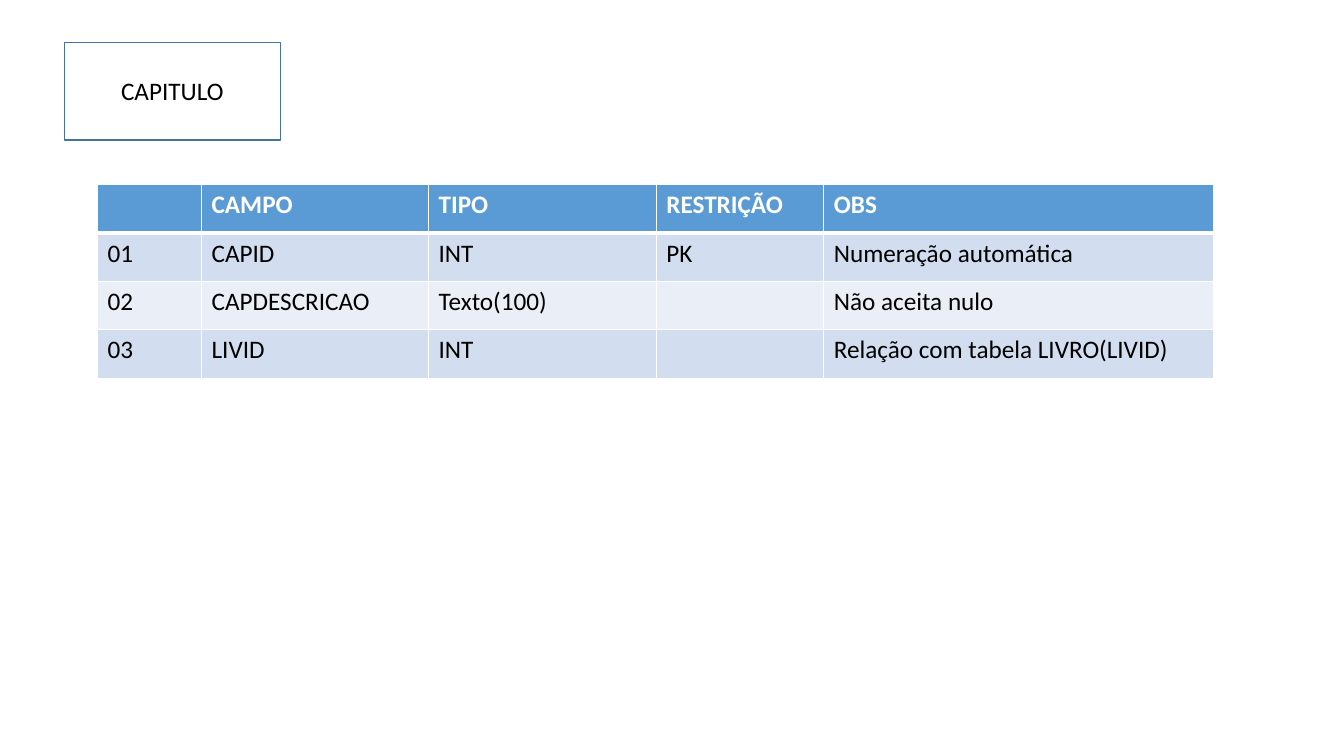
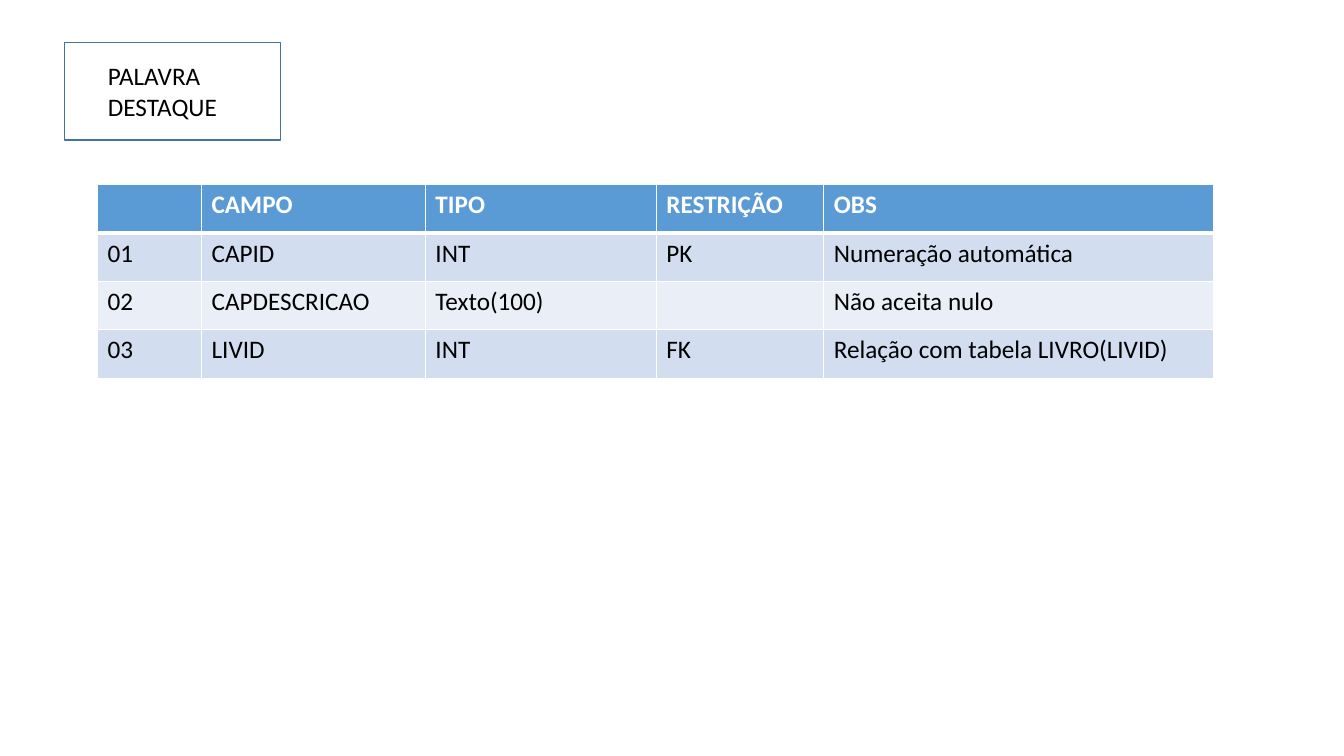
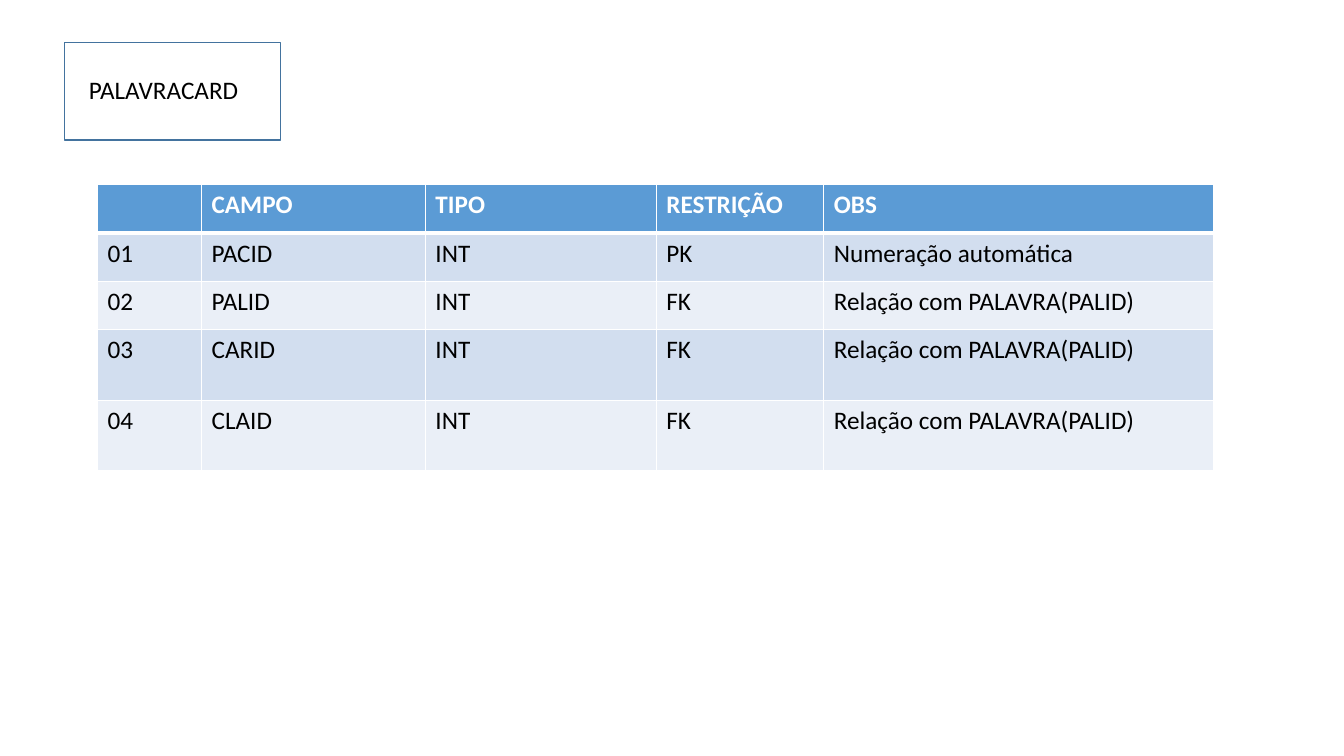
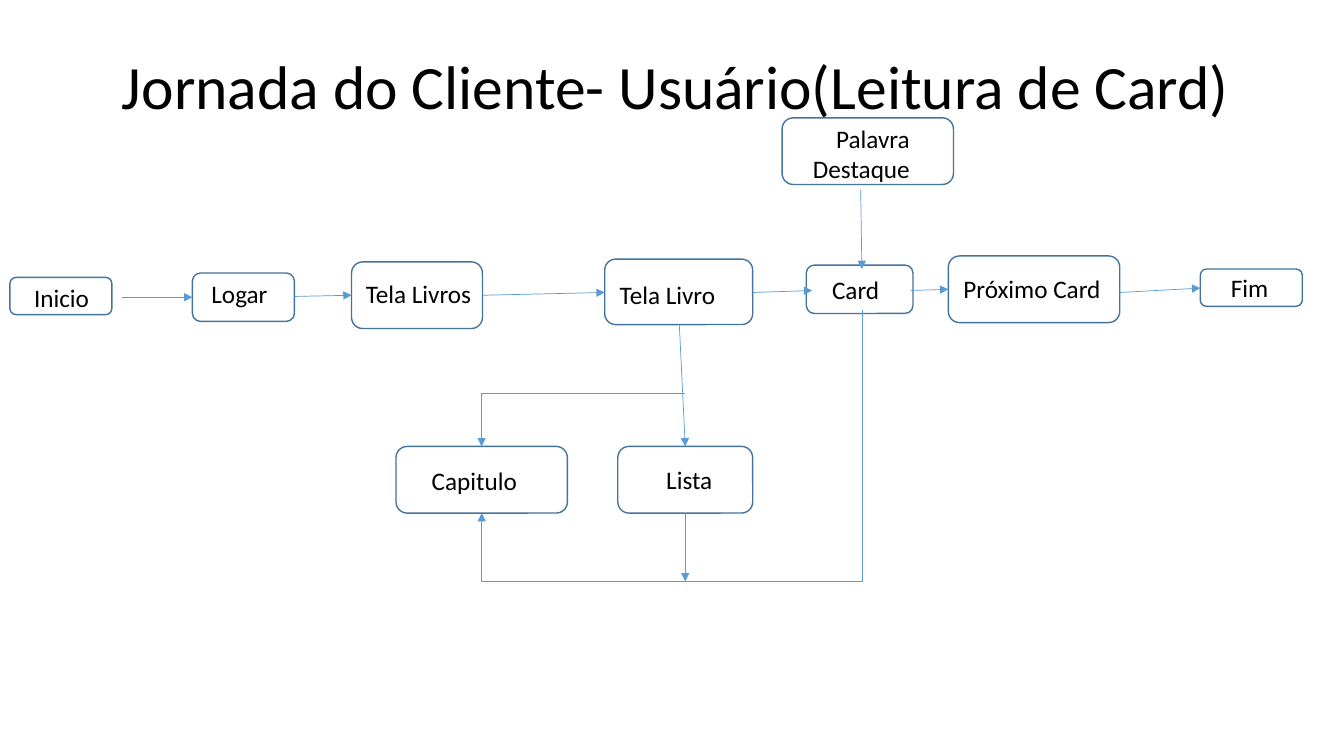
from dataclasses import dataclass

from lxml.etree import SubElement
from pptx import Presentation
from pptx.dml.color import RGBColor
from pptx.enum.shapes import MSO_CONNECTOR as Connector, MSO_SHAPE as Shape
from pptx.enum.text import MSO_ANCHOR as Anchor, MSO_AUTO_SIZE as AutoSize, PP_ALIGN as Align
from pptx.oxml.ns import qn
from pptx.util import Cm, Pt

FONT = "Calibri"
BLACK, WHITE = "000000", "FFFFFF"
OUTLINE, ACCENT = "43739E", "5B9BD5"
BANDS = ("D2DEEF", "EAEFF7")
TITLE_ONLY = 5
HEADINGS = ("", "CAMPO", "TIPO", "RESTRIÇÃO", "OBS")
WIDE_FIELD = (2.62, 5.72, 5.74, 4.22, 9.83)
NARROW_FIELD = (2.62, 5.64, 5.82, 4.22, 9.83)
ROW_HEIGHT, TALL_ROW = 1.22, 1.78
CORNER_INSET = 0.0488

CHAPTER_ROWS = [
    ("01", "CAPID", "INT", "PK", "Numeração automática"),
    ("02", "CAPDESCRICAO", "Texto(100)", "", "Não aceita nulo"),
    ("03", "LIVID", "INT", "", "Relação com tabela LIVRO(LIVID)"),
]
HIGHLIGHT_ROWS = CHAPTER_ROWS[:2] + [
    ("03", "LIVID", "INT", "FK", "Relação com tabela LIVRO(LIVID)"),
]
WORD_CARD_ROWS = [("01", "PACID", "INT", "PK", "Numeração automática")] + [
    (number, field, "INT", "FK", "Relação com PALAVRA(PALID)")
    for number, field in (("02", "PALID"), ("03", "CARID"), ("04", "CLAID"))
]


@dataclass
class Step:
    text: str
    left: float
    top: float
    width: float
    height: float
    inset_left: float
    inset_top: float
    inset_right: float = 0.1
    align: Align = Align.LEFT


STEPS = [
    Step("Inicio", 0.25, 6.99, 2.57, 0.94, 0.61, 0.13),
    Step("Logar", 4.85, 6.88, 2.57, 1.22, 0.48, 0.13),
    Step("Tela Livros", 8.86, 6.6, 3.3, 1.68, 0.36, 0.41),
    Step("Tela Livro", 15.24, 6.53, 3.73, 1.65, 0.38, 0.51),
    Step("Card", 20.32, 6.68, 2.69, 1.22, 0.65, 0.23),
    Step("Próximo Card", 23.9, 6.45, 4.32, 1.68, 0.38, 0.43),
    Step("Fim", 30.25, 6.78, 2.57, 0.94, 0.77, 0.08),
    Step("Capitulo", 9.98, 11.25, 4.32, 1.68, 0.9, 0.48),
    Step("Lista", 15.57, 11.25, 3.4, 1.68, 1.22, 0.46),
    Step("Palavra Destaque", 19.71, 2.97, 4.32, 1.68, 0.1, 0.13, 1.1, Align.RIGHT),
]
ARROWS = [
    ((3.07, 7.49), (4.85, 7.49)),
    ((7.42, 7.47), (8.86, 7.44)),
    ((12.17, 7.44), (15.24, 7.37)),
    ((18.97, 7.37), (20.47, 7.32)),
    ((22.96, 7.32), (23.9, 7.29)),
    ((28.22, 7.37), (30.25, 7.26)),
    ((21.69, 4.78), (21.72, 6.78)),
    ((17.12, 8.2), (17.27, 11.25)),
    ((17.27, 12.93), (17.27, 14.65)),
]


def color(value):
    return RGBColor.from_string(value)


def write(paragraph, text, size=18, text_color=BLACK, bold=False, align=Align.LEFT):
    paragraph.alignment = align
    run = paragraph.add_run()
    run.text = text
    run.font.name = FONT
    run.font.size = Pt(size)
    run.font.bold = bold
    run.font.color.rgb = color(text_color)


def place(shape, left, top, width, height):
    shape.left, shape.top = Cm(left), Cm(top)
    shape.width, shape.height = Cm(width), Cm(height)


def set_insets(frame, left, top, right):
    frame.word_wrap = True
    frame.auto_size = AutoSize.NONE
    frame.vertical_anchor = Anchor.TOP
    frame.margin_left, frame.margin_top = Cm(left), Cm(top)
    frame.margin_right, frame.margin_bottom = Cm(right), 0


def outline(shape):
    shape.fill.background()
    shape.line.color.rgb = color(OUTLINE)
    shape.line.width = Pt(1)


def add_slide(presentation):
    return presentation.slides.add_slide(presentation.slide_layouts[TITLE_ONLY])


def add_entity_title(slide, lines, inset_left, inset_top):
    title = slide.shapes.title
    place(title, 1.63, 1.07, 5.44, 2.46)
    outline(title)
    frame = title.text_frame
    set_insets(frame, inset_left, inset_top, 0.1)
    for index, line in enumerate(lines):
        write(frame.add_paragraph() if index else frame.paragraphs[0], line)


def add_page_title(slide, text):
    title = slide.shapes.title
    place(title, 2.82, 0.41, 29.21, 3.68)
    frame = title.text_frame
    frame.auto_size = AutoSize.NONE
    frame.vertical_anchor = Anchor.MIDDLE
    frame.paragraphs[0].line_spacing = 0.9
    write(frame.paragraphs[0], text, size=44)


def set_borders(cell, bottom_width):
    properties = cell._tc.get_or_add_tcPr()
    for side, width in (("L", 1), ("R", 1), ("T", 1), ("B", bottom_width)):
        line = SubElement(properties, qn(f"a:ln{side}"), w=str(Pt(width)))
        fill = SubElement(line, qn("a:solidFill"))
        SubElement(fill, qn("a:srgbClr"), val=WHITE)


def format_cell(cell, text, header, fill):
    set_borders(cell, 3 if header else 1)
    cell.fill.solid()
    cell.fill.fore_color.rgb = color(fill)
    if text:
        write(cell.text_frame.paragraphs[0], text,
              text_color=WHITE if header else BLACK, bold=header)


def add_field_table(slide, rows, column_widths, tall_rows=()):
    heights = [TALL_ROW if index in tall_rows else ROW_HEIGHT
               for index in range(len(rows) + 1)]
    table = slide.shapes.add_table(
        len(heights), len(column_widths), Cm(2.46), Cm(4.65),
        Cm(sum(column_widths)), Cm(sum(heights))).table
    for column, width in zip(table.columns, column_widths):
        column.width = Cm(width)
    for index, values in enumerate([HEADINGS] + rows):
        table.rows[index].height = Cm(heights[index])
        fill = BANDS[(index - 1) % 2] if index else ACCENT
        for column, text in enumerate(values):
            format_cell(table.cell(index, column), text, index == 0, fill)


def add_step(slide, step):
    shape = slide.shapes.add_shape(
        Shape.ROUNDED_RECTANGLE, Cm(step.left), Cm(step.top), Cm(step.width), Cm(step.height))
    shape.shadow.inherit = False
    outline(shape)
    corner = CORNER_INSET * step.height
    set_insets(shape.text_frame, step.inset_left - corner,
               step.inset_top - corner, step.inset_right - corner)
    write(shape.text_frame.paragraphs[0], step.text, align=step.align)


def add_arrow(slide, start, end, kind=Connector.STRAIGHT):
    arrow = slide.shapes.add_connector(kind, *(Cm(value) for value in start + end))
    arrow.line.color.rgb = color(ACCENT)
    arrow.line.width = Pt(0.5)
    SubElement(arrow.line._get_or_add_ln(), qn("a:tailEnd"), type="triangle")
    SubElement(arrow._element.spPr, qn("a:effectLst"))
    return arrow


def add_corner_arrow(slide, start, end):
    arrow = add_arrow(slide, start, end, Connector.ELBOW)
    arrow._element.spPr.find(qn("a:prstGeom")).set("prst", "bentConnector2")


def add_loop_arrow(slide, start, end, bottom):
    (start_x, start_y), (end_x, end_y) = start, end
    center_x, center_y = (start_x + end_x) / 2, (start_y + end_y) / 2
    half_width, half_height = (end_y - start_y) / 2, (start_x - end_x) / 2
    arrow = add_arrow(slide, (center_x - half_width, center_y - half_height),
                      (center_x + half_width, center_y + half_height), Connector.ELBOW)
    arrow.rotation = 90
    geometry = arrow._element.spPr.find(qn("a:prstGeom"))
    adjustments = geometry.find(qn("a:avLst"))
    if adjustments is None:
        adjustments = SubElement(geometry, qn("a:avLst"))
    depth = round((bottom - start_y) / (end_y - start_y) * 100000)
    SubElement(adjustments, qn("a:gd"), name="adj1", fmla=f"val {depth}")


def add_entity_slide(presentation, lines, insets, rows, column_widths, tall_rows=()):
    slide = add_slide(presentation)
    add_entity_title(slide, lines, *insets)
    add_field_table(slide, rows, column_widths, tall_rows)


def add_journey_slide(presentation):
    slide = add_slide(presentation)
    add_page_title(slide, "Jornada do Cliente- Usuário(Leitura de Card)")
    for step in STEPS:
        add_step(slide, step)
    for start, end in ARROWS:
        add_arrow(slide, start, end)
    add_corner_arrow(slide, (17.27, 9.91), (12.14, 11.25))
    add_loop_arrow(slide, (21.72, 7.82), (12.14, 12.93), 14.65)


def main():
    presentation = Presentation()
    presentation.slide_width, presentation.slide_height = Cm(33.87), Cm(19.05)
    add_entity_slide(presentation, ["CAPITULO"], (1.42, 0.84), CHAPTER_ROWS, WIDE_FIELD)
    add_entity_slide(presentation, ["PALAVRA", "DESTAQUE"], (1.09, 0.46),
                     HIGHLIGHT_ROWS, NARROW_FIELD)
    add_entity_slide(presentation, ["PALAVRACARD"], (0.61, 0.79),
                     WORD_CARD_ROWS, NARROW_FIELD, tall_rows=(3, 4))
    add_journey_slide(presentation)
    presentation.save("out.pptx")


main()
